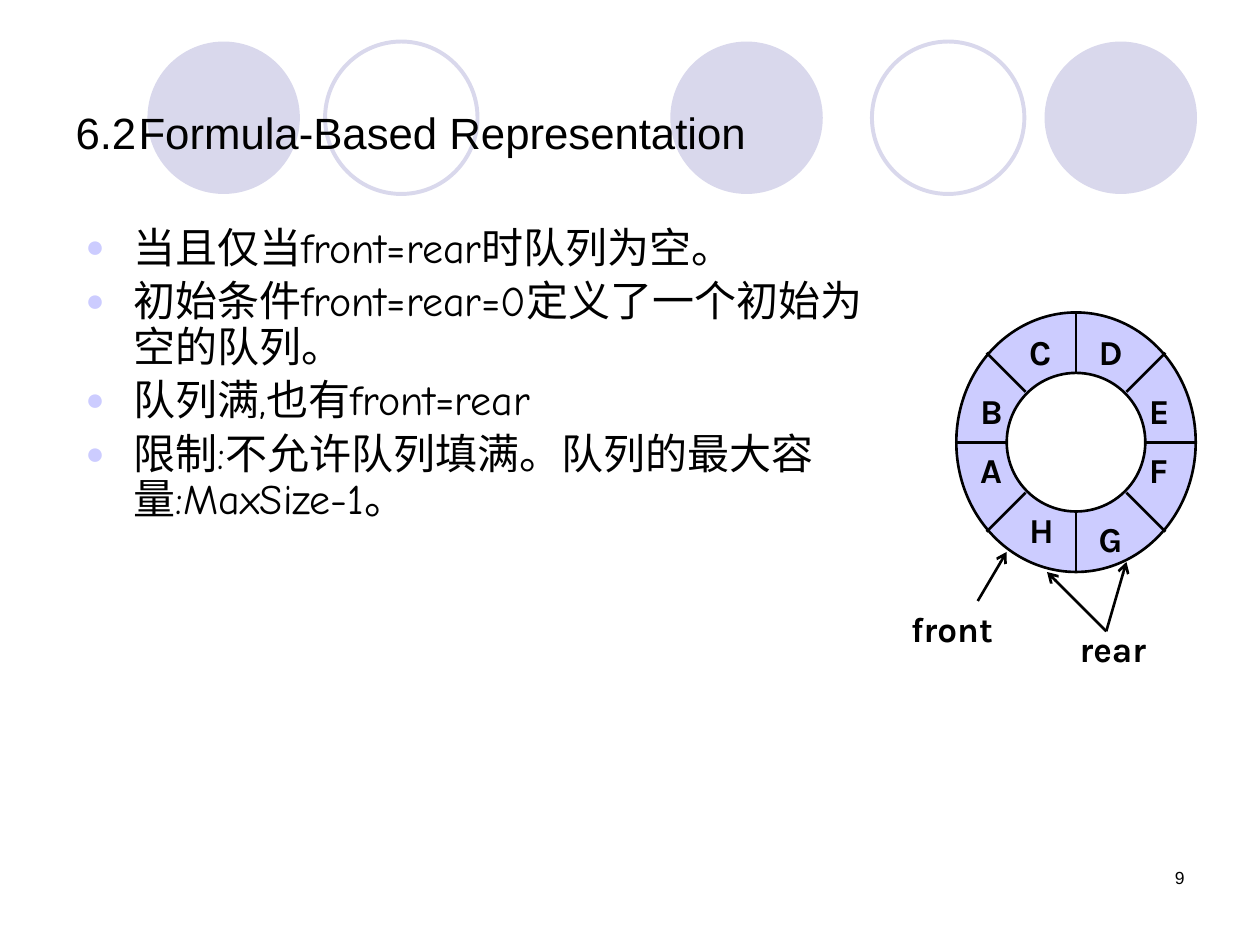
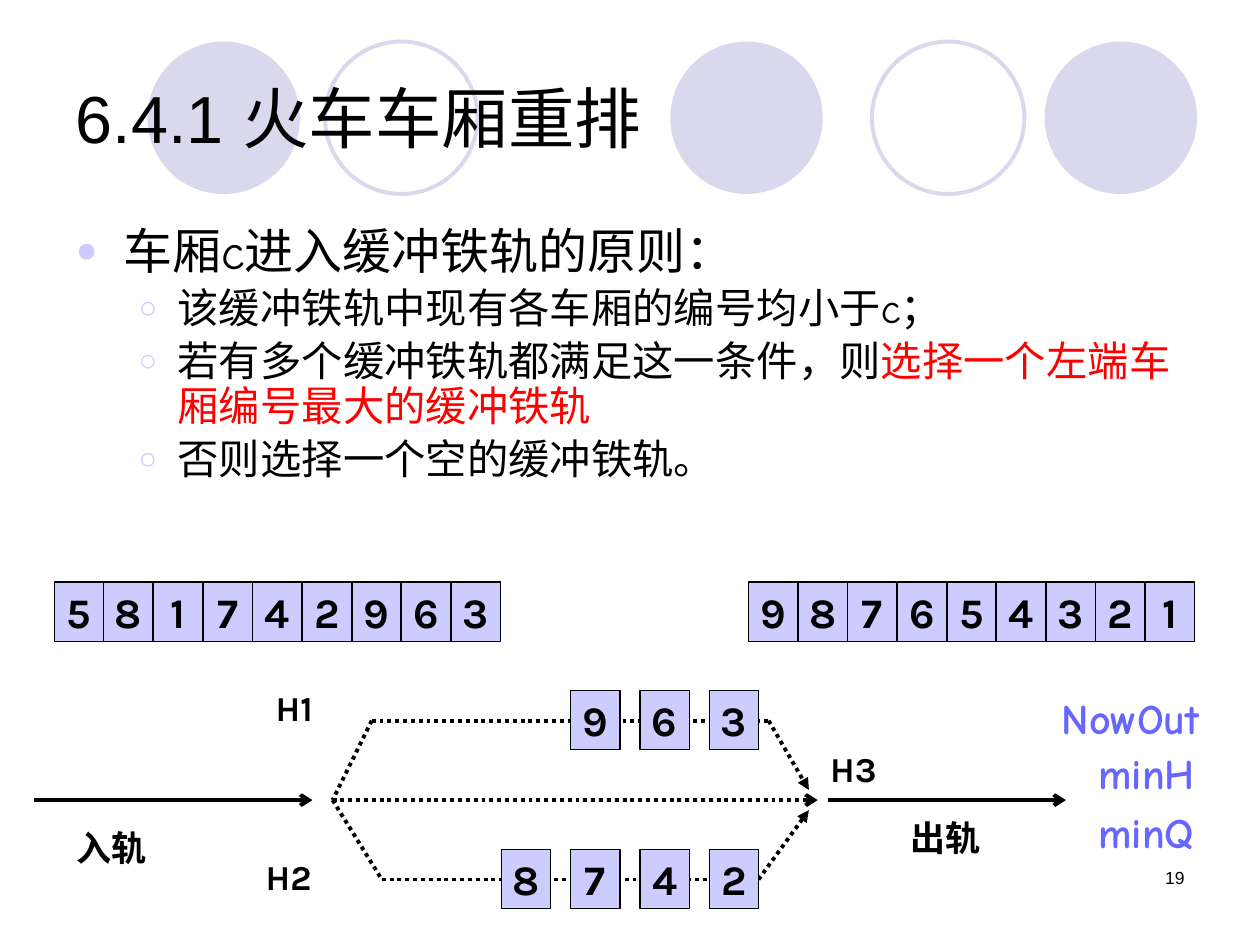
from lxml import etree
from pptx import Presentation
from pptx.dml.color import RGBColor
from pptx.enum.dml import MSO_LINE
from pptx.enum.shapes import MSO_CONNECTOR, MSO_SHAPE
from pptx.enum.text import MSO_ANCHOR, MSO_AUTO_SIZE, PP_ALIGN
from pptx.oxml.ns import qn
from pptx.util import Inches, Pt

BLACK = RGBColor(0x00, 0x00, 0x00)
WHITE = RGBColor(0xFF, 0xFF, 0xFF)
RED = RGBColor(0xFF, 0x00, 0x00)
LILAC = RGBColor(0xCC, 0xCC, 0xFF)
BAND = RGBColor(0xD9, 0xD8, 0xEC)
VIOLET = RGBColor(0x67, 0x67, 0xFF)

OVAL, RECT = MSO_SHAPE.OVAL, MSO_SHAPE.RECTANGLE
STRAIGHT = MSO_CONNECTOR.STRAIGHT
DOTTED = MSO_LINE.ROUND_DOT
TOP, MIDDLE = MSO_ANCHOR.TOP, MSO_ANCHOR.MIDDLE
LEFT, CENTER, RIGHT = PP_ALIGN.LEFT, PP_ALIGN.CENTER, PP_ALIGN.RIGHT
NO_FIT = MSO_AUTO_SIZE.NONE

TITLE_FONT, BODY_FONT, LABEL_FONT = "Arial", "Comic Neue", "Karla"
BULLETS = {0: ("●", 0.38, -0.38), 1: ("○", 0.81, -0.31)}
BAND_CIRCLES = [(1.17, True), (2.58, False), (5.32, True), (6.92, False), (8.29, True)]
CAR_WIDTH, CAR_HEIGHT, CAR_STEP = 0.39, 0.47, 3.15 / 8
BUFFER_STEP = 0.55


def add_text(para, text, size=20, font=LABEL_FONT, color=BLACK, bold=False):
    span = para.add_run()
    span.text = text
    span.font.size = Pt(size)
    span.font.name = font
    span.font.color.rgb = color
    span.font.bold = bold


class SlideBuilder:
    def __init__(self):
        self.deck = Presentation()
        self.deck.slide_width = Inches(10)
        self.deck.slide_height = Inches(7.5)
        self.page = None

    def start(self, number):
        self.page = self.deck.slides.add_slide(self.deck.slide_layouts[1])
        tree = self.page.shapes.element
        for position, (left, filled) in enumerate(BAND_CIRCLES):
            circle = self.shape(OVAL, left, 0.33, 1.21, 1.21,
                                fill=BAND if filled else None,
                                line=None if filled else BAND, weight=2.25)
            tree.insert(2 + position, circle.element)
        self.label(str(number), 7.17, 6.83, 2.33, 0.5, align=RIGHT, size=10, font=TITLE_FONT)

    def place(self, box, left, top, width, height):
        box.left, box.top = Inches(left), Inches(top)
        box.width, box.height = Inches(width), Inches(height)

    def title(self, text, top, height, size):
        box = self.page.shapes.title
        self.place(box, 0.5, top, 9, height)
        frame = box.text_frame
        frame.auto_size = NO_FIT
        frame.vertical_anchor = MIDDLE
        frame.paragraphs[0].alignment = LEFT
        add_text(frame.paragraphs[0], text, size=size, font=TITLE_FONT)

    def body(self, left, top, width, height, items):
        box = self.page.placeholders[1]
        self.place(box, left, top, width, height)
        frame = box.text_frame
        frame.auto_size = NO_FIT
        frame.vertical_anchor = TOP
        for index, (level, size, spans) in enumerate(items):
            para = frame.add_paragraph() if index else frame.paragraphs[0]
            para.level = level
            para.line_spacing = 0.9
            para.space_before = Pt(size * 0.2)
            self.bullet(para, *BULLETS[level])
            for text, color in spans:
                add_text(para, text, size=size, font=BODY_FONT, color=color)

    def bullet(self, para, mark, margin, indent):
        props = para._p.get_or_add_pPr()
        props.set("marL", str(Inches(margin)))
        props.set("indent", str(Inches(indent)))
        color = etree.SubElement(props, qn("a:buClr"))
        etree.SubElement(color, qn("a:srgbClr"), val=str(LILAC))
        etree.SubElement(props, qn("a:buSzPct"), val="75000")
        etree.SubElement(props, qn("a:buFont"), typeface=TITLE_FONT)
        etree.SubElement(props, qn("a:buChar"), char=mark)

    def shape(self, kind, left, top, width, height, fill=None, line=None, weight=1.5):
        shape = self.page.shapes.add_shape(
            kind, Inches(left), Inches(top), Inches(width), Inches(height))
        shape.shadow.inherit = False
        for paint, color in ((shape.fill, fill), (shape.line.fill, line)):
            if color is None:
                paint.background()
            else:
                paint.solid()
                paint.fore_color.rgb = color
        if line is not None:
            shape.line.width = Pt(weight)
        return shape

    def label(self, text, left, top, width, height=0.43, align=LEFT, fill=None,
              wrap=True, **style):
        box = self.page.shapes.add_textbox(
            Inches(left), Inches(top), Inches(width), Inches(height))
        if fill is not None:
            box.fill.solid()
            box.fill.fore_color.rgb = fill
        box.text_frame.word_wrap = wrap
        para = box.text_frame.paragraphs[0]
        para.alignment = align
        add_text(para, text, **style)

    def line(self, start, end, weight=1.5, dash=None, head=None):
        line = self.page.shapes.add_connector(
            STRAIGHT, *(Inches(value) for value in (*start, *end)))
        line.line.color.rgb = BLACK
        line.line.width = Pt(weight)
        if dash is not None:
            line.line.dash_style = dash
        if head:
            etree.SubElement(line.line._get_or_add_ln(), qn("a:tailEnd"), type=head)
        etree.SubElement(line.element.spPr, qn("a:effectLst"))

    def cars(self, numbers, left, top, step):
        for index, number in enumerate(numbers):
            car = self.shape(RECT, left + index * step, top, CAR_WIDTH, CAR_HEIGHT,
                             fill=LILAC, line=BLACK, weight=0.75)
            frame = car.text_frame
            frame.word_wrap = False
            frame.vertical_anchor = MIDDLE
            frame.paragraphs[0].alignment = CENTER
            add_text(frame.paragraphs[0], number, size=24, bold=True)

    def ring(self, x, y, radius_x, radius_y, hole):
        for across, down, fill in ((radius_x, radius_y, LILAC), (hole, hole, WHITE)):
            self.shape(OVAL, x - across, y - down, 2 * across, 2 * down,
                       fill=fill, line=BLACK)
        for side in (-1, 1):
            self.line((x, y + side * hole), (x, y + side * radius_y))
            self.line((x + side * hole, y), (x + side * radius_x, y))
            for end in (-1, 1):
                self.line((x + side * 0.4, y + end * 0.4),
                          (x + side * 0.71, y + end * 0.71))


def circular_queue(builder):
    builder.start(9)
    builder.title("6.2\tFormula-Based Representation", 0.54, 1.01, 25)
    lines = ["当且仅当front=rear时队列为空。",
             "初始条件front=rear=0定义了一个初始为空的队列。",
             "队列满,也有front=rear".replace(",", ","),
             "限制:不允许队列填满。队列的最大容量:MaxSize-1。".replace(":", ":")]
    builder.body(0.58, 1.75, 6.38, 4.76, [(0, 24, [(line, BLACK)]) for line in lines])
    builder.ring(8.54, 3.51, 0.95, 1.03, 0.55)
    slots = {"A": (7.68, 3.51), "B": (7.68, 3.04), "C": (8.07, 2.57), "D": (8.62, 2.57),
             "E": (9.02, 3.04), "F": (9.02, 3.51), "G": (8.62, 4.06), "H": (8.07, 3.99)}
    for letter, (left, top) in slots.items():
        builder.label(letter, left, top, 0.39, bold=True)
    builder.label("front", 7.13, 4.77, 0.95, bold=True)
    builder.label("rear", 8.47, 4.93, 0.79, bold=True)
    builder.line((7.76, 4.77), (7.99, 4.38), head="arrow")
    for target in ((8.31, 4.54), (8.94, 4.46)):
        builder.line((8.78, 5.01), target, head="arrow")


def train_cars(builder):
    builder.start(19)
    builder.title("6.4.1 火车车厢重排", 0.3, 1.25, 38)
    builder.body(0.5, 1.75, 9, 2.5, [
        (0, 28, [("车厢c进入缓冲铁轨的原则\uff1a", BLACK)]),
        (1, 23.6, [("该缓冲铁轨中现有各车厢的编号均小于c\uff1b", BLACK)]),
        (1, 23.6, [("若有多个缓冲铁轨都满足这一条件\uff0c则", BLACK),
                   ("选择一个左端车厢编号最大的缓冲铁轨", RED)]),
        (1, 23.6, [("否则选择一个空的缓冲铁轨。", BLACK)])])

    fork, upper, lower = (2.64, 6.35), (2.95, 5.72), (3.03, 6.98)
    upper_end, lower_end = (6.1, 5.72), (6.02, 6.98)
    for start, end, dash, head in (
            ((0.27, 6.35), (2.48, 6.35), None, "arrow"),
            ((6.57, 6.35), (8.46, 6.35), None, "arrow"),
            (fork, (6.49, 6.35), DOTTED, "arrow"),
            (upper, upper_end, DOTTED, None),
            (upper, fork, DOTTED, None),
            (upper_end, (6.42, 6.27), DOTTED, "triangle"),
            (fork, lower, DOTTED, None),
            (lower, lower_end, DOTTED, None),
            (lower_end, (6.42, 6.43), DOTTED, "triangle")):
        builder.line(start, end, weight=2.25, dash=dash, head=head)

    for text, left, top in (("入轨", 0.51, 6.51), ("出轨", 7.13, 6.43)):
        builder.label(text, left, top, 0.79, bold=True)
    for text, left, top in (("H1", 2.09, 5.4), ("H3", 6.49, 5.88), ("H2", 2.01, 6.74)):
        builder.label(text, left, top, 0.63, fill=WHITE, bold=True)

    builder.cars("581742963", 0.43, 4.62, CAR_STEP)
    builder.cars("987654321", 5.94, 4.62, CAR_STEP)
    builder.cars("963", 4.53, 5.48, BUFFER_STEP)
    builder.cars("8742", 3.98, 6.74, BUFFER_STEP)

    for text, left, top, width in (("NowOut", 8.33, 5.45, 1.47),
                                   ("minH", 8.62, 5.88, 0.98),
                                   ("minQ", 8.62, 6.35, 1.02)):
        builder.label(text, left, top, width, 0.5, wrap=False,
                      size=24, font=BODY_FONT, color=VIOLET, bold=True)


builder = SlideBuilder()
circular_queue(builder)
train_cars(builder)
builder.deck.save("out.pptx")
